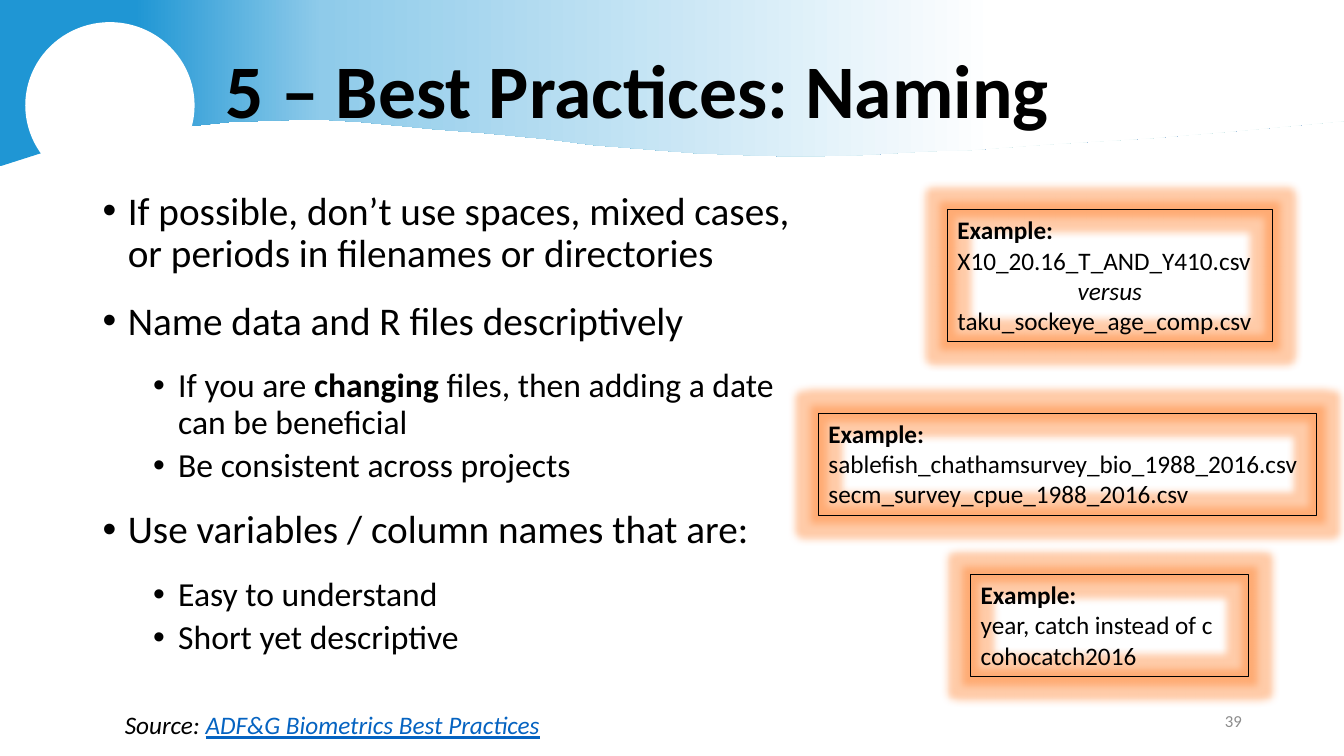
from dataclasses import dataclass

from lxml import etree
from pptx import Presentation
from pptx import util as u
from pptx.dml.color import RGBColor
from pptx.enum import shapes, text
from pptx.oxml import parse_xml
from pptx.oxml.ns import nsdecls, qn

WIDTH, HEIGHT = u.Inches(13.33), u.Inches(7.5)
LEFT, CENTER, RIGHT = text.PP_ALIGN.LEFT, text.PP_ALIGN.CENTER, text.PP_ALIGN.RIGHT
FONT = "Calibri"
GLOW_COLOR, GLOW_RADIUS = "FF7D26", u.Pt(11)
SKY = ((10, "1F96D4"), (24, "8FCBEA"), (74, "FFFFFF"))
WAVE = (
    (100, 0), (100, 16), (92.85, 17.2), (85.73, 18.27), (78.23, 19.07), (72.08, 19.87),
    (69.08, 20), (63.98, 20.53), (60.6, 20.67), (58.43, 20.67), (55.65, 20.53),
    (51.83, 20.27), (48, 19.73), (44.25, 19.2), (40.73, 18.4), (36.08, 17.6),
    (32.18, 17.07), (26.85, 16.13), (24.45, 15.87), (21.53, 15.87), (17.1, 16.13),
    (14.25, 16.67), (10.2, 17.6), (6.45, 18.93), (3.3, 20.13), (0, 22),
)


@dataclass(frozen=True)
class Area:
    left: float
    top: float
    width: float
    height: float

    def lengths(self) -> tuple:
        return (across(self.left), down(self.top), across(self.width), down(self.height))


@dataclass(frozen=True)
class Piece:
    words: str
    bold: bool = False
    italic: bool = False
    underline: bool = False
    color: str = "000000"


@dataclass(frozen=True)
class Line:
    pieces: tuple
    size: float = 18
    align: int = LEFT
    level: int = 0
    bullet: bool = False
    spacing: float = 1.0
    before: float = 0


@dataclass(frozen=True)
class Example:
    area: Area
    lines: tuple


def across(percent: float) -> int:
    return round(WIDTH * percent / 100)


def down(percent: float) -> int:
    return round(HEIGHT * percent / 100)


def color(code: str) -> RGBColor:
    return RGBColor.from_string(code)


def plain(words: str, **style) -> Line:
    return Line((Piece(words),), **style)


def bullet(*pieces: Piece, level: int = 0, before: float = 18) -> Line:
    return Line(pieces, 24 if level else 28, LEFT, level, True, 0.9, before)


def add_bullet(paragraph, level: int) -> None:
    properties = paragraph._p.get_or_add_pPr()
    properties.set("marL", str(u.Inches(0.25 + 0.5 * level)))
    properties.set("indent", str(-u.Inches(0.25)))
    etree.SubElement(properties, qn("a:buFont")).set("typeface", "Arial")
    etree.SubElement(properties, qn("a:buChar")).set("char", "•")


def write(text_frame, lines: tuple) -> None:
    text_frame.word_wrap = True
    text_frame.text = "\n".join("" for _ in lines)
    for paragraph, line in zip(text_frame.paragraphs, lines):
        paragraph.level = line.level
        if line.bullet:
            add_bullet(paragraph, line.level)
        paragraph.alignment = line.align
        paragraph.line_spacing = line.spacing
        paragraph.space_before = u.Pt(line.before)
        for piece in line.pieces:
            run = paragraph.add_run()
            run.text = piece.words
            run.font.name = FONT
            run.font.size = u.Pt(line.size)
            run.font.bold = piece.bold
            run.font.italic = piece.italic
            run.font.underline = piece.underline
            run.font.color.rgb = color(piece.color)


def add_text(slide, area: Area, lines: tuple, anchor=text.MSO_ANCHOR.TOP) -> None:
    shape = slide.shapes.add_textbox(*area.lengths())
    shape.text_frame.vertical_anchor = anchor
    write(shape.text_frame, lines)


def add_banner(slide) -> None:
    builder = slide.shapes.build_freeform(0, 0)
    builder.add_line_segments([(across(x), down(y)) for x, y in WAVE], close=True)
    wave = builder.convert_to_shape()
    wave.shadow.inherit = False
    wave.line.fill.background()
    stops = "".join(
        f'<a:gs pos="{share * 1000}"><a:srgbClr val="{code}"/></a:gs>' for share, code in SKY
    )
    gradient = parse_xml(
        f'<a:gradFill {nsdecls("a")} rotWithShape="1"><a:gsLst>{stops}</a:gsLst>'
        '<a:lin ang="0" scaled="0"/></a:gradFill>'
    )
    wave.element.spPr.find(qn("a:custGeom")).addnext(gradient)

    circle = slide.shapes.add_shape(
        shapes.MSO_SHAPE.OVAL, *Area(1.88, 2.93, 12.6, 22).lengths()
    )
    circle.shadow.inherit = False
    circle.fill.solid()
    circle.fill.fore_color.rgb = color("FFFFFF")
    circle.line.fill.background()


def add_title(slide, words: str) -> None:
    title = slide.shapes.title
    title.left, title.top, title.width, title.height = Area(16.05, 4.13, 77.1, 16.67).lengths()
    title.text_frame.auto_size = text.MSO_AUTO_SIZE.NONE
    title.text_frame.vertical_anchor = text.MSO_ANCHOR.MIDDLE
    write(title.text_frame, (Line((Piece(words, bold=True),), 54, spacing=0.9),))
    slide.shapes.element.append(title.element)


def add_example(slide, example: Example) -> None:
    box = slide.shapes.add_shape(shapes.MSO_SHAPE.RECTANGLE, *example.area.lengths())
    box.fill.background()
    box.line.color.rgb = color("000000")
    box.line.width = u.Pt(0.75)
    box.shadow.inherit = False
    glow = parse_xml(
        f'<a:glow {nsdecls("a")} rad="{GLOW_RADIUS}"><a:srgbClr val="{GLOW_COLOR}">'
        '<a:alpha val="40000"/></a:srgbClr></a:glow>'
    )
    box.element.spPr.find(qn("a:effectLst")).append(glow)
    box.text_frame.vertical_anchor = text.MSO_ANCHOR.TOP
    heading = Line((Piece("Example:", bold=True),))
    write(box.text_frame, (heading, *example.lines))


PRACTICES = (
    bullet(
        Piece("If possible, don’t use spaces, mixed cases, or periods in filenames or directories"),
        before=0,
    ),
    bullet(Piece("Name data and R files descriptively")),
    bullet(
        Piece("If you are "),
        Piece("changing", bold=True),
        Piece(" files, then adding a date can be beneficial"),
        level=1,
    ),
    bullet(Piece("Be consistent across projects"), level=1, before=5),
    bullet(Piece("Use variables / column names that are:")),
    bullet(Piece("Easy to understand"), level=1),
    bullet(Piece("Short yet descriptive"), level=1, before=5),
)
EXAMPLES = (
    Example(Area(70.5, 27.73, 24.15, 17.47), (
        plain("X10_20.16_T_AND_Y410.csv"),
        Line((Piece("versus", italic=True),), align=CENTER),
        plain("taku_sockeye_age_comp.csv"),
    )),
    Example(Area(60.9, 54.67, 37.05, 13.47), (
        plain("sablefish_chathamsurvey_bio_1988_2016.csv"),
        plain("secm_survey_cpue_1988_2016.csv"),
    )),
    Example(Area(72.23, 76, 20.7, 13.47), (
        plain("year, catch instead of c"),
        plain("cohocatch2016"),
    )),
)
SOURCE = Line((
    Piece("Source: ", italic=True),
    Piece("ADF&G Biometrics Best Practices", italic=True, underline=True, color="0563C1"),
))
NUMBER = Line((Piece("39", color="8C8C8C"),), 12, RIGHT)


def main() -> None:
    presentation = Presentation()
    presentation.slide_width, presentation.slide_height = WIDTH, HEIGHT
    slide = presentation.slides.add_slide(presentation.slide_layouts[5])
    add_banner(slide)
    add_title(slide, "5 – Best Practices: Naming")
    add_text(slide, Area(70.65, 92.67, 22.5, 5.33), (NUMBER,), text.MSO_ANCHOR.MIDDLE)
    add_text(slide, Area(6.9, 24.67, 55.13, 73.33), PRACTICES)
    for example in EXAMPLES:
        add_example(slide, example)
    add_text(slide, Area(8.55, 93.2, 39.08, 5.33), (SOURCE,))
    presentation.save("out.pptx")


if __name__ == "__main__":
    main()
